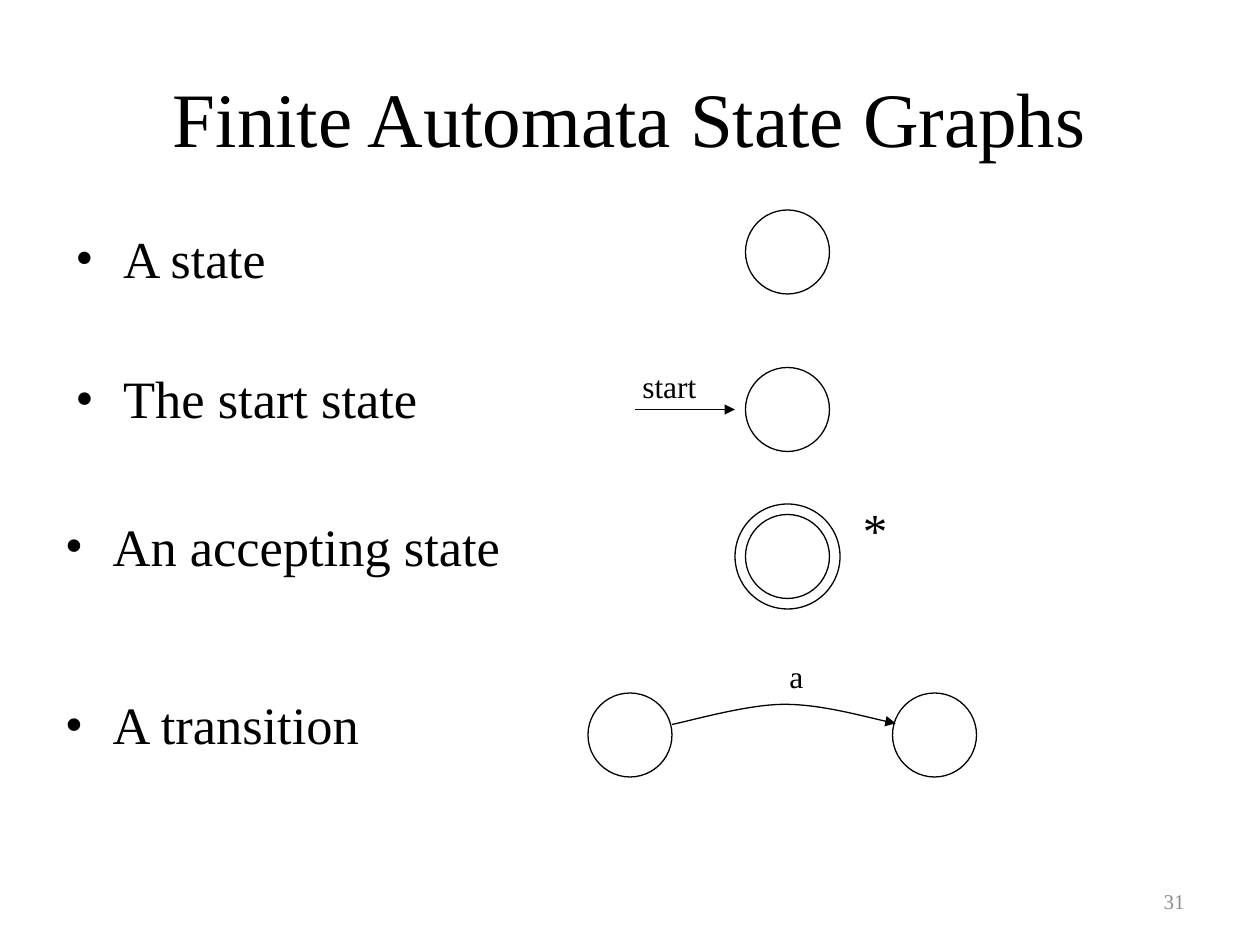
from lxml import etree
from pptx import Presentation
from pptx.dml.color import RGBColor
from pptx.enum.shapes import MSO_CONNECTOR, MSO_SHAPE
from pptx.enum.text import MSO_ANCHOR, PP_ALIGN
from pptx.oxml.ns import qn
from pptx.util import Inches, Pt

OVAL, STRAIGHT = MSO_SHAPE.OVAL, MSO_CONNECTOR.STRAIGHT
TOP, MIDDLE = MSO_ANCHOR.TOP, MSO_ANCHOR.MIDDLE
LEFT, CENTER, RIGHT = PP_ALIGN.LEFT, PP_ALIGN.CENTER, PP_ALIGN.RIGHT
TITLE_ONLY = 5
BLACK, GREY = "000000", "8C8C8C"
STATE = 8  # diameter of a state, in grid units


def rgb(color):
    return RGBColor.from_string(color)


def unit(count):
    """Length of grid units, twelve to the inch (120 columns by 90 rows)."""
    return round(Inches(count / 12))


class StateGraphSlide:
    font = "Times New Roman"
    line_width = Pt(0.75)

    def __init__(self, prs):
        self.slide = prs.slides.add_slide(prs.slide_layouts[TITLE_ONLY])
        self.shapes = self.slide.shapes

    def set_text(self, holder, text, size, color=BLACK, align=LEFT, anchor=TOP, wrap=True):
        frame = holder.text_frame
        frame.text = text
        frame.word_wrap = wrap
        frame.vertical_anchor = anchor
        paragraph = frame.paragraphs[0]
        paragraph.alignment = align
        font = paragraph.runs[0].font
        font.name, font.size = self.font, Pt(size)
        font.color.rgb = rgb(color)
        return paragraph

    def title(self, text, left, top, width, height):
        title = self.shapes.title
        title.left, title.top = unit(left), unit(top)
        title.width, title.height = unit(width), unit(height)
        self.set_text(title, text, 44, align=CENTER, anchor=MIDDLE)

    def label(self, text, left, top, width, height, size, **style):
        box = self.shapes.add_textbox(*map(unit, (left, top, width, height)))
        return self.set_text(box, text, size, **style)

    def bullet(self, text, left, top, size=30, spacing=0.9):
        paragraph = self.label(text, left, top, 109, 7, size)
        paragraph.line_spacing = spacing
        paragraph.space_before = Pt(6)
        props = paragraph._p.get_or_add_pPr()
        indent = Inches(0.38)
        props.set("marL", str(indent))
        props.set("indent", str(-indent))
        etree.SubElement(props, qn("a:buFont"), typeface=self.font)
        etree.SubElement(props, qn("a:buChar"), char="•")

    def outline(self, shape, arrow=False):
        shape.line.color.rgb = rgb(BLACK)
        shape.line.width = self.line_width
        if arrow:
            etree.SubElement(shape.line._get_or_add_ln(), qn("a:tailEnd"), type="triangle")

    def state(self, left, top, size=STATE):
        circle = self.shapes.add_shape(OVAL, *map(unit, (left, top, size, size)))
        circle.shadow.inherit = False
        circle.fill.background()
        self.outline(circle)

    def arrow(self, start, end):
        arrow = self.shapes.add_connector(STRAIGHT, *map(unit, (*start, *end)))
        self.outline(arrow, arrow=True)
        etree.SubElement(arrow._element.spPr, qn("a:effectLst"))

    def curved_arrow(self, start, *controls):
        """Draw cubic curves: every three points after the start make one."""
        builder = self.shapes.build_freeform(*map(unit, start))
        builder.add_line_segments([tuple(map(unit, p)) for p in controls], close=False)
        curve = builder.convert_to_shape()
        curve.shadow.inherit = False
        curve.fill.background()
        self.outline(curve, arrow=True)
        curve_outline = next(curve._element.iter(qn("a:moveTo"))).getparent()
        segments = curve_outline.findall(qn("a:lnTo"))
        for first in range(0, len(segments), 3):
            bezier = etree.SubElement(curve_outline, qn("a:cubicBezTo"))
            for segment in segments[first:first + 3]:
                bezier.append(segment[0])
                curve_outline.remove(segment)


def main():
    prs = Presentation()
    prs.slide_width, prs.slide_height = unit(120), unit(90)
    graph = StateGraphSlide(prs)
    graph.title("Finite Automata State Graphs", 6, 3.6, 108, 15)

    # Terms
    graph.bullet("A state", 6, 21, size=29.6, spacing=1.0)
    graph.bullet("The start state", 6, 35)
    graph.bullet("An accepting state", 5, 49)
    graph.bullet("A transition", 5, 66)

    # State, start state and accepting state share one column
    column = 71
    for row in (20, 35, 49):
        graph.state(column, row)
    graph.arrow((60.5, 39), (70, 39))
    graph.label("start", 59.5, 35, 8.5, 3.5, 18, align=CENTER, anchor=MIDDLE, wrap=False)
    graph.state(column - 1, 48, STATE + 2)
    graph.label("*", 81, 47, 12, 6.8, 28)

    # Transition between two states
    for left in (56, 85):
        graph.state(left, 66)
    graph.curved_arrow((64, 69), (65.8, 68.64), (71.2, 67.08), (74.7, 67.08),
                       (78.2, 67.08), (83.2, 68.5), (85.3, 68.9))
    graph.label("a", 74, 62, 4.2, 6, 18, wrap=False)

    # Slide number
    graph.label("31", 86, 83.4, 28, 4.8, 12, color=GREY, align=RIGHT, anchor=MIDDLE)

    prs.save("out.pptx")


if __name__ == "__main__":
    main()
